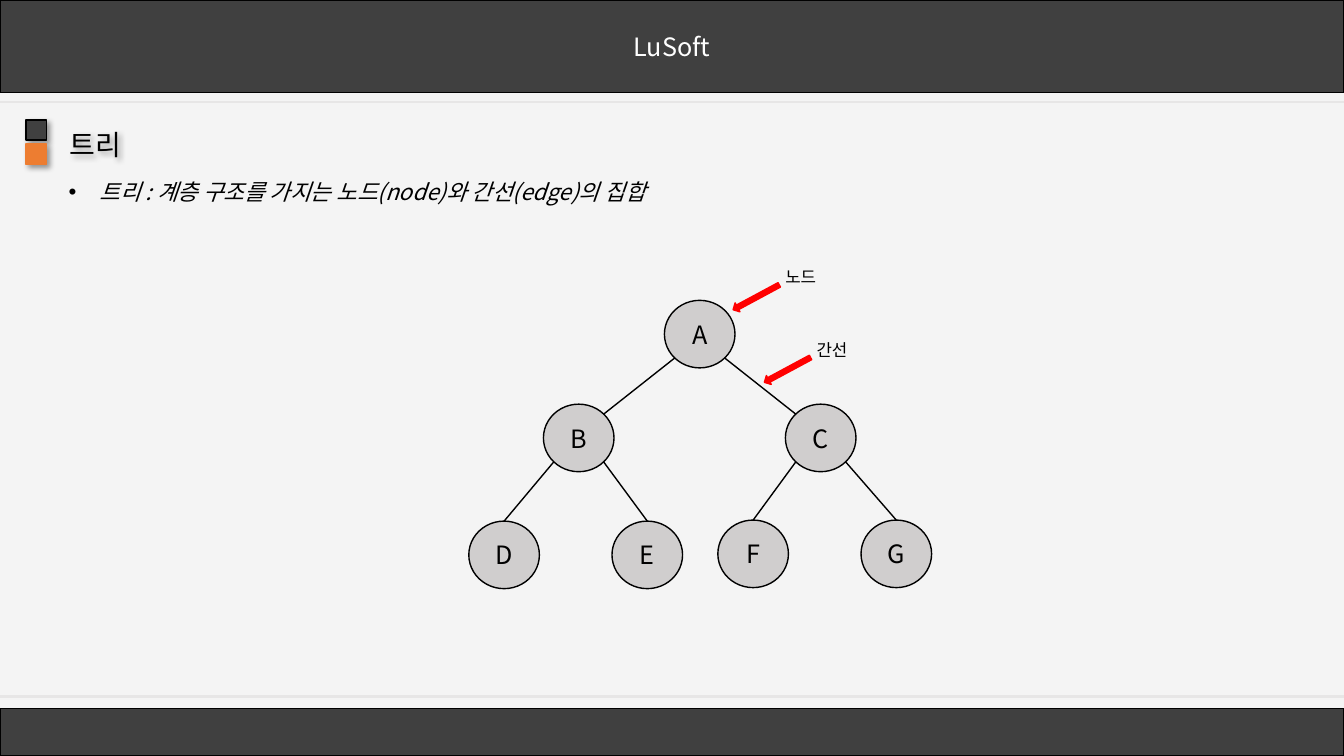
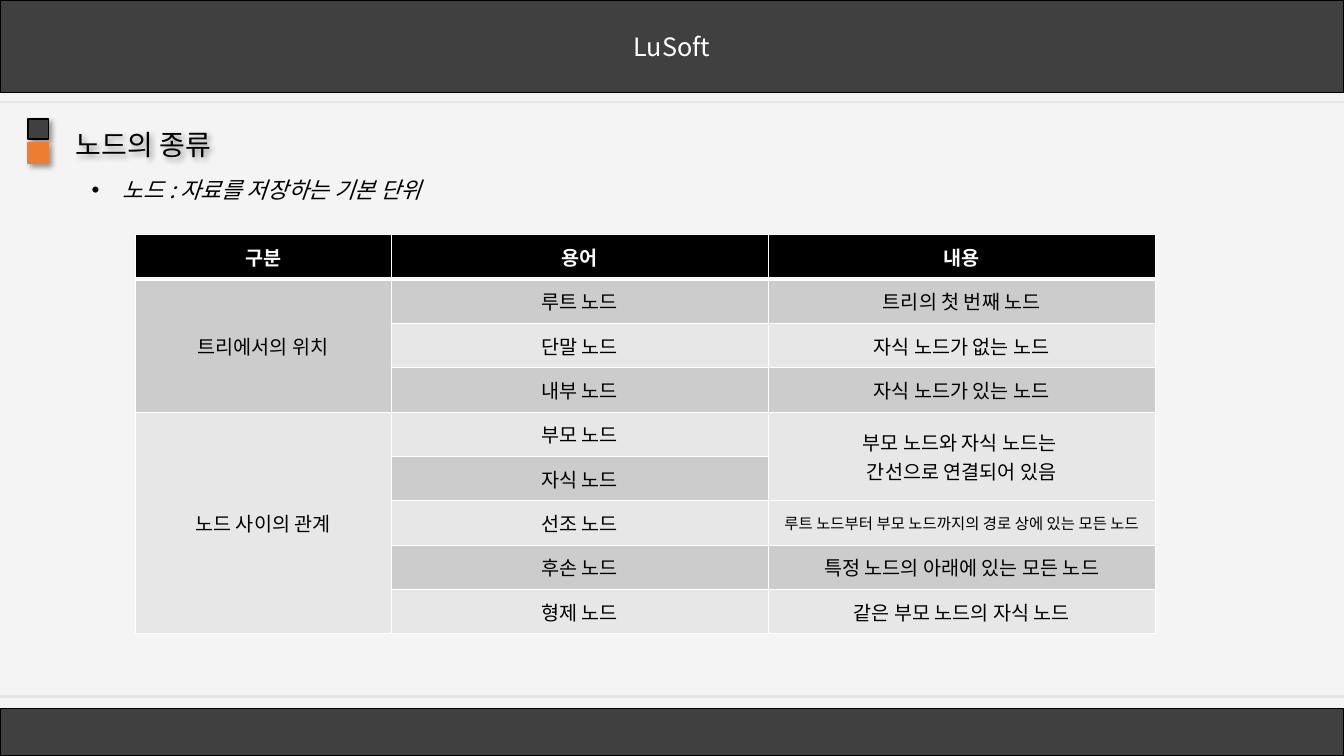
from dataclasses import dataclass
from lxml import etree
from pptx import Presentation, util as u
from pptx.dml.color import RGBColor
from pptx.enum import shapes as sh, text as tx
from pptx.oxml import ns

IN = u.Inches
RECT = sh.MSO_SHAPE.RECTANGLE
OVAL = sh.MSO_SHAPE.OVAL
ARROW = sh.MSO_SHAPE.LEFT_ARROW
MID = tx.MSO_ANCHOR.MIDDLE
MID_AL = tx.PP_ALIGN.CENTER


@dataclass(frozen=True)
class Theme:
    font: str = "Noto Sans CJK KR"
    back: str = "F4F4F4"
    band: str = "404040"
    rule: str = "E7E6E6"
    mark: str = "ED7D31"
    node: str = "D0CECE"
    hint: str = "FF0000"
    ink: str = "000000"
    white: str = "FFFFFF"
    rows: tuple = ("E7E7E7", "CCCCCC")
    title: int = 20
    brand: int = 18
    list: int = 16
    cell: int = 14
    note: int = 12
    small: int = 11


T = Theme()
W, H = 13.33, 7.5


# Basic parts
def rgb(code):
    return RGBColor.from_string(code)


def sub(base, tag, **attrs):
    item = etree.SubElement(base, ns.qn(tag))
    for key, val in attrs.items():
        item.set(key, str(val))
    return item


def write(para, words, size, color=T.ink, bold=False, slant=False, align=None):
    para.alignment = align
    run = para.add_run()
    run.text = words
    font = run.font
    font.size, font.bold, font.italic = u.Pt(size), bold, slant
    font.color.rgb = rgb(color)
    font.name = T.font
    sub(run._r.get_or_add_rPr(), "a:ea", typeface=T.font)


def shade(item):
    item.shadow.inherit = False
    fx = item._element.spPr.find(ns.qn("a:effectLst"))
    cast = sub(fx, "a:outerShdw", blurRad=u.Pt(4), dist=u.Pt(3),
               dir=45 * 60000, algn="tl", rotWithShape=0)
    sub(sub(cast, "a:srgbClr", val=T.ink), "a:alpha", val=40000)


def block(host, kind, box, fill, line=T.ink):
    item = host.add_shape(kind, *map(IN, box))
    item.shadow.inherit = False
    item.fill.solid()
    item.fill.fore_color.rgb = rgb(fill)
    item.line.color.rgb = rgb(line)
    item.line.width = u.Pt(1)
    return item


def label(item, words, color):
    frame = item.text_frame
    frame.vertical_anchor = MID
    write(frame.paragraphs[0], words, T.brand, color, align=MID_AL)


def link(host, start, end, color=T.ink, width=1):
    line = host.add_connector(sh.MSO_CONNECTOR.STRAIGHT,
                              *map(IN, (*start, *end)))
    line.line.color.rgb = rgb(color)
    line.line.width = u.Pt(width)
    sub(line._element.spPr, "a:effectLst")


def place(item, box):
    item.left, item.top, item.width, item.height = map(IN, box)
    frame = item.text_frame
    frame.word_wrap = True
    frame.auto_size = tx.MSO_AUTO_SIZE.NONE
    frame.vertical_anchor = tx.MSO_ANCHOR.TOP
    return frame.paragraphs[0]


# Regions shared by the slides
def bands(host):
    head = block(host, RECT, (0, 0, W, 0.92), T.band)
    label(head, "LuSoft", T.white)
    block(host, RECT, (0, 7.03, W, 0.47), T.band)
    for y in (1.01, 6.91):
        link(host, (0, y), (W, y), T.rule, 1.5)


def marker(host, x, y):
    pair = host.add_group_shape().shapes
    for i, (fill, line) in enumerate([(T.band, T.ink), (T.mark, T.mark)]):
        shade(block(pair, RECT, (x, y + i * 0.24, 0.2, 0.2), fill, line))


def page(deck, title, point, mark, head, body):
    slide = deck.slides.add_slide(deck.slide_layouts[1])
    bands(slide.shapes)
    marker(slide.shapes, *mark)
    name = slide.shapes.title
    write(place(name, head), title, T.title, align=tx.PP_ALIGN.LEFT)
    shade(name)
    para = place(slide.placeholders[1], body)
    para.space_before = u.Pt(0)
    props = para._p.get_or_add_pPr()
    props.set("marL", str(IN(0.31)))
    props.set("indent", str(-IN(0.31)))
    sub(props, "a:buFont", typeface="Arial")
    sub(props, "a:buChar", char="•")
    write(para, point, T.list, slant=True, align=tx.PP_ALIGN.LEFT)
    return slide.shapes


# Tree diagram
NODES = {"A": (1.94, 0.38), "B": (0.74, 1.41), "C": (3.14, 1.41),
         "D": (0, 2.57), "E": (1.42, 2.57), "F": (2.47, 2.56),
         "G": (3.89, 2.56)}
EDGES = ["AB", "AC", "BD", "BE", "CF", "CG"]
HINTS = [("노드", 2.59, 0), ("간선", 2.9, 0.72)]


def tree(host, x, y):
    parts = host.add_group_shape().shapes
    wide, high = 0.7, 0.67
    slant = 0.35  # reach of a diagonal rim point, as a share of the size

    def rim(name, dx, dy):
        left, top = NODES[name]
        return x + left + wide * (0.5 + dx), y + top + high * (0.5 + dy)

    for name, (left, top) in NODES.items():
        ball = block(parts, OVAL, (x + left, y + top, wide, high), T.node)
        label(ball, name, T.ink)
    for up, down in EDGES:
        side = slant if NODES[down][0] > NODES[up][0] else -slant
        end = (-side, -slant) if up == "A" else (0, -0.5)
        link(parts, rim(up, side, slant), rim(down, *end))
    for words, left, top in HINTS:
        arrow = block(parts, ARROW, (x + left, y + top + 0.3, 0.52, 0.1),
                      T.hint, T.hint)
        arrow.rotation = 331.7
        note = parts.add_textbox(0, 0, 0, 0)
        spot = (x + left + 0.45, y + top, 0.68, 0.37)
        write(place(note, spot), words, T.note)


# Table of node kinds
COLS = (2.54, 3.74, 3.84)
CELLS = [
    ("구분", "용어", "내용"),
    ("트리에서의 위치", "루트 노드", "트리의 첫 번째 노드"),
    ("", "단말 노드", "자식 노드가 없는 노드"),
    ("", "내부 노드", "자식 노드가 있는 노드"),
    ("노드 사이의 관계", "부모 노드", "부모 노드와 자식 노드는 \n간선으로 연결되어 있음"),
    ("", "자식 노드", ""),
    ("", "선조 노드", "루트 노드부터 부모 노드까지의 경로 상에 있는 모든 노드"),
    ("", "후손 노드", "특정 노드의 아래에 있는 모든 노드"),
    ("", "형제 노드", "같은 부모 노드의 자식 노드"),
]
SPANS = [(1, 3, 0), (4, 8, 0), (4, 5, 2)]
SMALL = (6, 2)


def edge(cell, head):
    props = cell._tc.get_or_add_tcPr()
    for side in "LRTB":
        width = 3 if head and side == "B" else 1
        line = sub(props, "a:ln" + side, w=u.Pt(width))
        sub(sub(line, "a:solidFill"), "a:srgbClr", val=T.white)


def kinds(host, x, y):
    high = 0.44
    grid = host.add_table(len(CELLS), len(COLS), IN(x), IN(y), IN(sum(COLS)),
                          IN(high * len(CELLS))).table
    grid.horz_banding = False
    for col, wide in zip(grid.columns, COLS):
        col.width = IN(wide)
    for r, row in enumerate(CELLS):
        grid.rows[r].height = IN(high)
        head = r == 0
        for c, words in enumerate(row):
            cell = grid.cell(r, c)
            edge(cell, head)
            cell.fill.solid()
            cell.fill.fore_color.rgb = rgb(T.ink if head else T.rows[r % 2])
            cell.vertical_anchor = MID
            size = T.small if (r, c) == SMALL else T.cell
            for i, part in enumerate(words.split("\n") if words else []):
                frame = cell.text_frame
                para = frame.add_paragraph() if i else frame.paragraphs[0]
                write(para, part, size, T.white if head else T.ink, head,
                      align=MID_AL)
    for top, end, col in SPANS:
        grid.cell(top, col).merge(grid.cell(end, col))


# Slides
deck = Presentation()
deck.slide_width, deck.slide_height = IN(W), IN(H)
back = deck.slide_master.background.fill
back.solid()
back.fore_color.rgb = rgb(T.back)

first = page(deck, "트리", "트리 : 계층 구조를 가지는 노드(node)와 간선(edge)의 집합",
             (0.26, 1.19), (0.59, 1.21, 5.3, 0.44), (0.58, 1.72, 6.46, 0.37))
tree(first, 4.65, 2.6)

second = page(deck, "노드의 종류", "노드 : 자료를 저장하는 기본 단위",
              (0.28, 1.18), (0.65, 1.21, 5.3, 0.44), (0.81, 1.7, 3.88, 0.37))
kinds(second, 1.34, 2.33)

deck.save("out.pptx")
